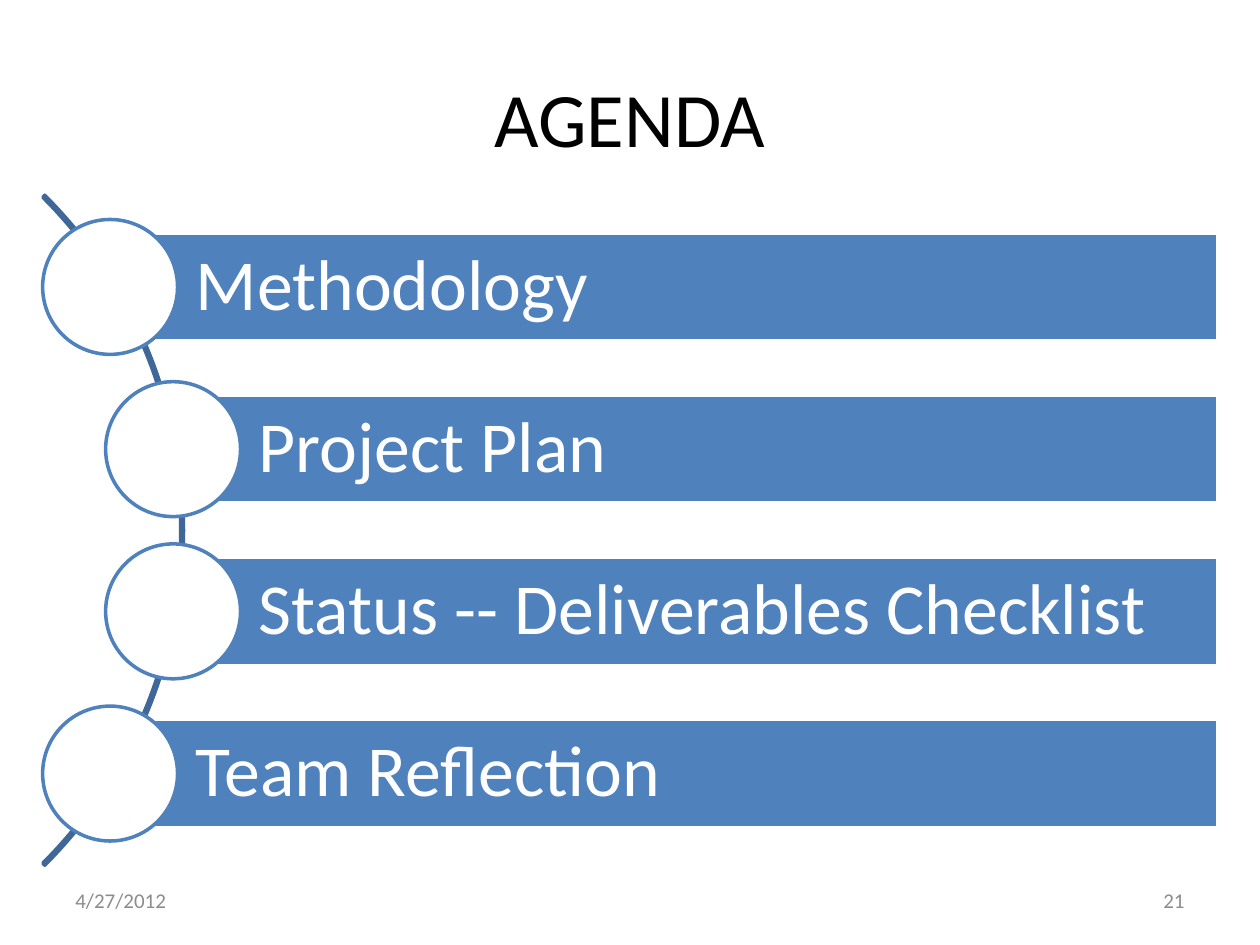
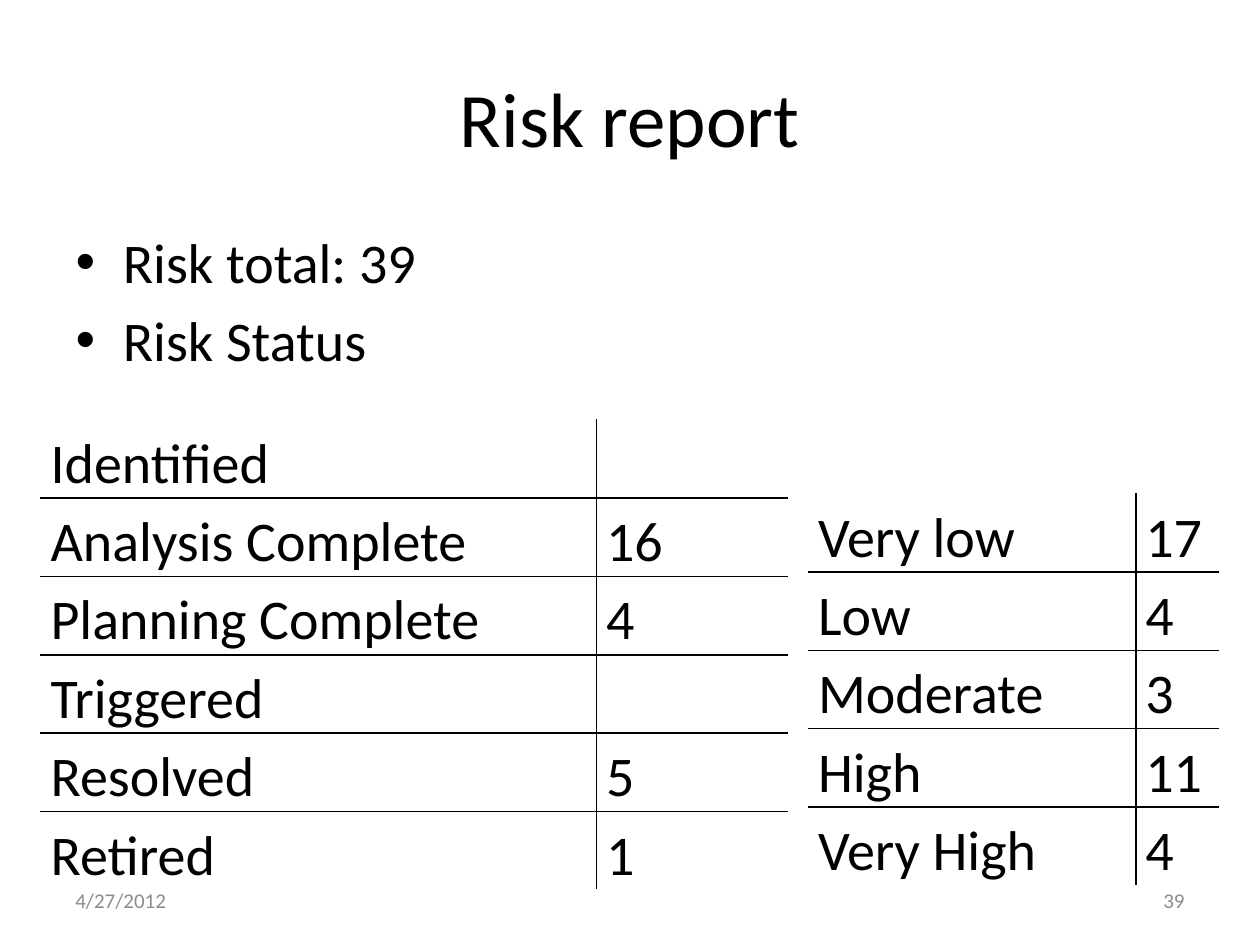
from lxml import etree
from pptx import Presentation
from pptx.dml.color import RGBColor
from pptx.enum import shapes, text
from pptx.oxml.ns import qn
from pptx.util import Cm, Pt

FONT = "Calibri"
BLACK, WHITE, GREY = "000000", "FFFFFF", "8C8C8C"
BLUE, DARK_BLUE = "4F81BD", "3F6797"
DATE = "4/27/2012"

AGENDA = {
    "title": "AGENDA",
    "number": "21",
    "topics": [
        ("Methodology", 2.22),
        ("Project Plan", 3.49),
        ("Status -- Deliverables Checklist", 3.49),
        ("Team Reflection", 2.22),
    ],
}
RISKS = {
    "title": "Risk report",
    "number": "39",
    "bullets": ["Risk total: 39", "Risk Status"],
    "tables": [
        {
            "left": 0.83, "top": 8.46, "widths": (11.2, 3.84),
            "rows": [("Identified", ""), ("Analysis Complete", "16"),
                     ("Planning Complete", "4"), ("Triggered", ""),
                     ("Resolved", "5"), ("Retired", "1")],
        },
        {
            "left": 16.3, "top": 9.95, "widths": (6.6, 1.65),
            "rows": [("Very low", "17"), ("Low", "4"), ("Moderate", "3"),
                     ("High", "11"), ("Very High", "4")],
        },
    ],
}

ARC_RADIUS, ARC_CENTRE_X, ARC_CENTRE_Y = 9.55, -5.85, 10.69
TOPIC_PITCH, BAR_HEIGHT, BAR_RIGHT, CIRCLE = 3.27, 2.18, 24.56, 2.72
ROW_HEIGHT = 1.58


def colour(code):
    return RGBColor.from_string(code)


def write(para, words, size, shade=BLACK, align=None, spacing=None, after=None):
    span = para.add_run()
    span.text = words
    span.font.name = FONT
    span.font.size = Pt(size)
    span.font.color.rgb = colour(shade)
    para.alignment = align
    para.line_spacing = spacing
    if after is not None:
        para.space_after = Pt(after)


def place(shape, left, top, width, height):
    shape.left, shape.top = Cm(left), Cm(top)
    shape.width, shape.height = Cm(width), Cm(height)


def add_shape(page, kind, box, fill, line):
    shape = page.shapes.add_shape(kind, *map(Cm, box))
    shape.shadow.inherit = False
    if fill:
        shape.fill.solid()
        shape.fill.fore_color.rgb = colour(fill)
    else:
        shape.fill.background()
    shape.line.color.rgb = colour(line)
    shape.line.width = Pt(2)
    return shape


def add_page(deck, layout, content):
    page = deck.slides.add_slide(deck.slide_layouts[layout])
    title = page.shapes.title
    place(title, 1.27, 0.76, 22.86, 3.18)
    write(title.text_frame.paragraphs[0], content["title"], 44,
          align=text.PP_ALIGN.CENTER)
    footers = [(1.27, DATE, text.PP_ALIGN.LEFT),
               (18.21, content["number"], text.PP_ALIGN.RIGHT)]
    for left, words, align in footers:
        box = page.shapes.add_textbox(Cm(left), Cm(17.65), Cm(5.92), Cm(1.01))
        box.text_frame.word_wrap = True
        box.text_frame.vertical_anchor = text.MSO_ANCHOR.MIDDLE
        write(box.text_frame.paragraphs[0], words, 12, GREY, align)
    return page


def add_topic(page, words, centre_x, centre_y):
    kinds = shapes.MSO_SHAPE
    bar = add_shape(page, kinds.RECTANGLE,
                    (centre_x, centre_y - BAR_HEIGHT / 2,
                     BAR_RIGHT - centre_x, BAR_HEIGHT), BLUE, WHITE)
    frame = bar.text_frame
    frame.word_wrap = True
    frame.vertical_anchor = text.MSO_ANCHOR.MIDDLE
    frame.margin_left = Cm(1.73)
    frame.margin_top = frame.margin_right = frame.margin_bottom = Cm(0.28)
    write(frame.paragraphs[0], words, 41, WHITE, text.PP_ALIGN.LEFT, 0.9)
    add_shape(page, kinds.OVAL,
              (centre_x - CIRCLE / 2, centre_y - CIRCLE / 2, CIRCLE, CIRCLE),
              WHITE, BLUE)


def set_borders(cell, **sides):
    properties = cell._tc.get_or_add_tcPr()
    for position, side in enumerate("LRTB"):
        line = etree.Element(qn(f"a:ln{side}"), w=str(Pt(1)))
        fill = etree.SubElement(line, qn("a:solidFill"))
        etree.SubElement(fill, qn("a:srgbClr"), val=sides[side])
        properties.insert(position, line)


def add_risk_table(page, left, top, widths, rows):
    height = ROW_HEIGHT * len(rows)
    frame = page.shapes.add_table(len(rows), len(widths), Cm(left), Cm(top),
                                  Cm(sum(widths)), Cm(height))
    table = frame.table
    table.first_row = table.horz_banding = False
    for column, width in zip(table.columns, widths):
        column.width = Cm(width)
    aligns = (text.PP_ALIGN.JUSTIFY, text.PP_ALIGN.LEFT)
    last_row, last_column = len(rows) - 1, len(widths) - 1
    for r, row in enumerate(rows):
        table.rows[r].height = Cm(ROW_HEIGHT)
        for c, words in enumerate(row):
            cell = table.cell(r, c)
            cell.fill.solid()
            cell.fill.fore_color.rgb = colour(WHITE)
            cell.margin_left = cell.margin_right = Cm(0.19)
            cell.margin_top = cell.margin_bottom = 0
            set_borders(cell,
                        L=BLACK if c else WHITE,
                        R=BLACK if c < last_column else WHITE,
                        T=BLACK if r else WHITE,
                        B=BLACK if r < last_row else WHITE)
            if words:
                write(cell.text_frame.paragraphs[0], words, 32,
                      align=aligns[c], spacing=1.15, after=10)


def build_agenda(deck):
    page = add_page(deck, 5, AGENDA)
    arc = add_shape(page, shapes.MSO_SHAPE.BLOCK_ARC,
                    (ARC_CENTRE_X - ARC_RADIUS, ARC_CENTRE_Y - ARC_RADIUS,
                     2 * ARC_RADIUS, 2 * ARC_RADIUS), None, DARK_BLUE)
    for index, value in enumerate((189, 27, 0.003)):
        arc.adjustments[index] = value
    topics = AGENDA["topics"]
    first_y = ARC_CENTRE_Y - TOPIC_PITCH * (len(topics) - 1) / 2
    for index, (words, centre_x) in enumerate(topics):
        add_topic(page, words, centre_x, first_y + index * TOPIC_PITCH)


def build_risks(deck):
    page = add_page(deck, 1, RISKS)
    body = page.placeholders[1]
    place(body, 1.27, 4.45, 22.86, 12.57)
    frame = body.text_frame
    for index, words in enumerate(RISKS["bullets"]):
        para = frame.add_paragraph() if index else frame.paragraphs[0]
        write(para, words, 32)
    for table in RISKS["tables"]:
        add_risk_table(page, **table)


def main():
    deck = Presentation()
    deck.slide_width, deck.slide_height = Cm(25.4), Cm(19.05)
    build_agenda(deck)
    build_risks(deck)
    deck.save("out.pptx")


if __name__ == "__main__":
    main()
